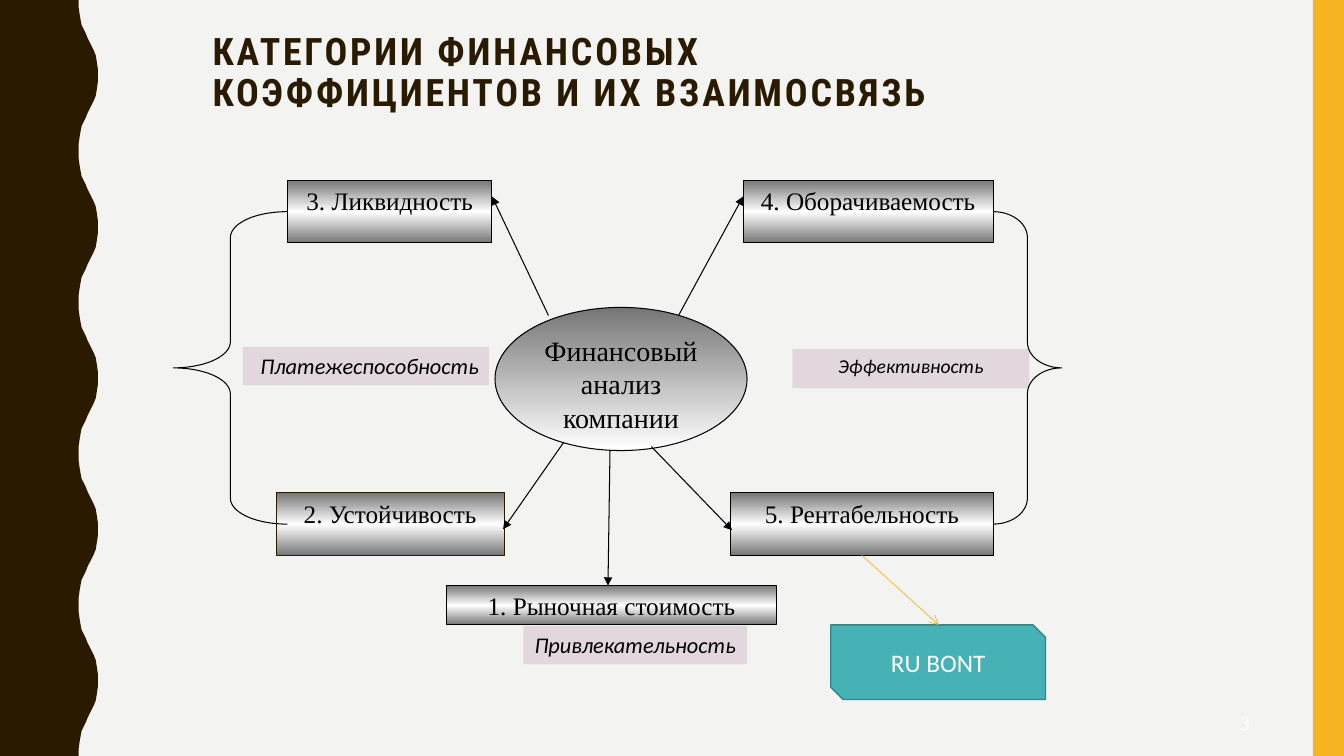
from lxml.etree import SubElement
from pptx import Presentation
from pptx.dml.color import RGBColor
from pptx.enum.shapes import MSO_CONNECTOR, MSO_SHAPE
from pptx.enum.text import MSO_ANCHOR, PP_ALIGN
from pptx.oxml.ns import qn
from pptx.util import Inches, Pt

BLACK, WHITE, BROWN, GRAY = "000000", "FFFFFF", "2A1A00", "767676"
AMBER, LILAC, TEAL = "F8B323", "E1D7DD", "46B2B5"
SERIF = {"name": "Times New Roman", "size": Pt(18)}
ITALIC = {"name": "Calibri", "size": Pt(16), "italic": True}
WAVE_PERIOD = 1.5
# Half of one wave of the left edge, as (x, y) from crest to trough
HALF_WAVE = [(0.78, 0), (0.78, 0.07), (0.79, 0.14), (0.8, 0.2), (0.81, 0.25),
             (0.83, 0.29), (0.85, 0.33), (0.87, 0.38), (0.89, 0.42),
             (0.91, 0.46), (0.93, 0.5), (0.95, 0.55), (0.96, 0.61),
             (0.97, 0.68), (0.97, 0.75)]


def color(value):
    return RGBColor.from_string(value)


def paint(shape, fill=None, line=None, width=0.75):
    shape.shadow.inherit = False
    if isinstance(fill, list):
        paint_gradient(shape, fill)
    elif fill:
        shape.fill.solid()
        shape.fill.fore_color.rgb = color(fill)
    else:
        shape.fill.background()
    if line:
        shape.line.color.rgb = color(line)
        shape.line.width = Pt(width)
    else:
        shape.line.fill.background()


def paint_gradient(shape, colors):
    """Vertical gradient with evenly spaced stops."""
    shape.fill.gradient()
    shape.fill.gradient_angle = 270
    stops = shape._element.spPr.find(qn("a:gradFill")).find(qn("a:gsLst"))
    for stop in list(stops):
        stops.remove(stop)
    for index, value in enumerate(colors):
        position = 100000 * index // (len(colors) - 1)
        stop = SubElement(stops, qn("a:gs"), pos=str(position))
        SubElement(stop, qn("a:srgbClr"), val=value)


def write(shape, text, formats, ink=BLACK, align=PP_ALIGN.CENTER,
          anchor=MSO_ANCHOR.TOP):
    frame = shape.text_frame
    frame.word_wrap = True
    frame.vertical_anchor = anchor
    paragraph = frame.paragraphs[0]
    paragraph.alignment = align
    run = paragraph.add_run()
    run.text = text
    for name, value in formats.items():
        setattr(run.font, name, value)
    run.font.color.rgb = color(ink)
    return paragraph


def add_block(slide, kind, box, **style):
    shape = slide.shapes.add_shape(kind, *map(Inches, box))
    paint(shape, **style)
    return shape


def add_text(slide, box, text, formats, **options):
    shape = slide.shapes.add_textbox(*map(Inches, box))
    return write(shape, text, formats, **options)


def add_arrow(slide, start, end, line=BLACK, width=0.75, head="triangle"):
    arrow = slide.shapes.add_connector(
        MSO_CONNECTOR.STRAIGHT, *map(Inches, start + end))
    arrow.line.color.rgb = color(line)
    arrow.line.width = Pt(width)
    properties = arrow._element.spPr
    SubElement(properties.find(qn("a:ln")), qn("a:tailEnd"), type=head)
    SubElement(properties, qn("a:effectLst"))


def add_wavy_band(slide):
    wave = HALF_WAVE + [(x, WAVE_PERIOD - y) for x, y in HALF_WAVE[-2::-1]]
    points = [(x, y + WAVE_PERIOD * turn) for turn in range(5) for x, y in wave]
    builder = slide.shapes.build_freeform(0, 0)
    builder.add_line_segments(
        [(Inches(x), Inches(y)) for x, y in points + [(0, 7.5)]], close=True)
    paint(builder.convert_to_shape(), BROWN)


def add_brace(slide, kind, box, curve):
    brace = add_block(slide, kind, box, line=BLACK)
    brace.adjustments[0] = curve
    brace.adjustments[1] = 0.5


def main():
    presentation = Presentation()
    presentation.slide_width = Inches(13.33)
    presentation.slide_height = Inches(7.5)
    slide = presentation.slides.add_slide(presentation.slide_layouts[6])
    slide.background.fill.solid()
    slide.background.fill.fore_color.rgb = color("F3F3F2")

    # Side bands
    add_wavy_band(slide)
    add_block(slide, MSO_SHAPE.RECTANGLE, (13.02, 0, 0.31, 7.5), fill=AMBER)

    # Title and slide number
    title = add_text(
        slide, (2.01, 0.28, 7.31, 1.02),
        "КАТЕГОРИИ ФИНАНСОВЫХ КОЭФФИЦИЕНТОВ И ИХ ВЗАИМОСВЯЗЬ",
        {"name": "Roboto Condensed", "size": Pt(27), "bold": True},
        ink=BROWN, align=PP_ALIGN.LEFT)
    title.line_spacing = 0.9
    title.runs[0]._r.get_or_add_rPr().set("spc", "200")
    add_text(slide, (12.1, 6.99, 0.5, 0.36), "3",
             {**SERIF, "size": Pt(14)}, ink=WHITE, anchor=MSO_ANCHOR.MIDDLE)

    # Goal labels
    for box, text, size, align in [
        ((2.41, 3.44, 2.44, 0.38), "Платежеспособность", 16, PP_ALIGN.RIGHT),
        ((5.19, 6.21, 2.22, 0.38), "Привлекательность", 16, PP_ALIGN.CENTER),
        ((7.86, 3.46, 2.35, 0.39), "Эффективность", 14, PP_ALIGN.CENTER),
    ]:
        label = add_block(slide, MSO_SHAPE.RECTANGLE, box, fill=LILAC)
        write(label, text, {**ITALIC, "size": Pt(size)}, align=align)

    # Central oval
    center = add_block(slide, MSO_SHAPE.OVAL, (4.91, 3.05, 2.5, 1.42),
                       fill=[GRAY, WHITE], line=BLACK)
    write(center, "Финансовый анализ компании", {**SERIF, "size": Pt(20)})

    # Ratio categories
    for box, text, line in [
        ((2.85, 1.79, 2.03, 0.62), "3. Ликвидность", BLACK),
        ((2.74, 4.89, 2.26, 0.62), "2. Устойчивость", BROWN),
        ((7.37, 1.79, 2.48, 0.62), "4. Оборачиваемость", BLACK),
        ((7.25, 4.89, 2.6, 0.62), "5. Рентабельность", BLACK),
        ((4.43, 5.81, 3.27, 0.39), "1. Рыночная стоимость", BLACK),
    ]:
        category = add_block(slide, MSO_SHAPE.RECTANGLE, box,
                             fill=[GRAY, WHITE, GRAY], line=line)
        write(category, text, SERIF)

    # Arrows from the oval to the categories
    for start, end in [
        ((5.44, 3.13), (4.88, 1.95)),
        ((6.73, 3.13), (7.37, 1.95)),
        ((5.59, 4.39), (4.99, 5.25)),
        ((6.46, 4.43), (7.26, 5.26)),
        ((6.05, 4.47), (6.03, 5.81)),
    ]:
        add_arrow(slide, start, end)

    # Braces joining the category pairs
    add_brace(slide, MSO_SHAPE.LEFT_BRACE, (1.72, 2.1, 1.13, 3.1), 0.227)
    add_brace(slide, MSO_SHAPE.RIGHT_BRACE, (9.85, 2.1, 0.68, 3.1), 0.378)

    # Profitability model
    model = add_block(slide, MSO_SHAPE.SNIP_2_DIAG_RECTANGLE,
                      (8.24, 6.2, 2.13, 0.74), fill=TEAL, line="348486", width=1)
    write(model, "RU BONT", {"name": "Calibri", "size": Pt(18)},
          ink=WHITE, anchor=MSO_ANCHOR.MIDDLE)
    add_arrow(slide, (8.55, 5.51), (9.31, 6.2), AMBER, 0.5, "arrow")

    presentation.save("out.pptx")


if __name__ == "__main__":
    main()
